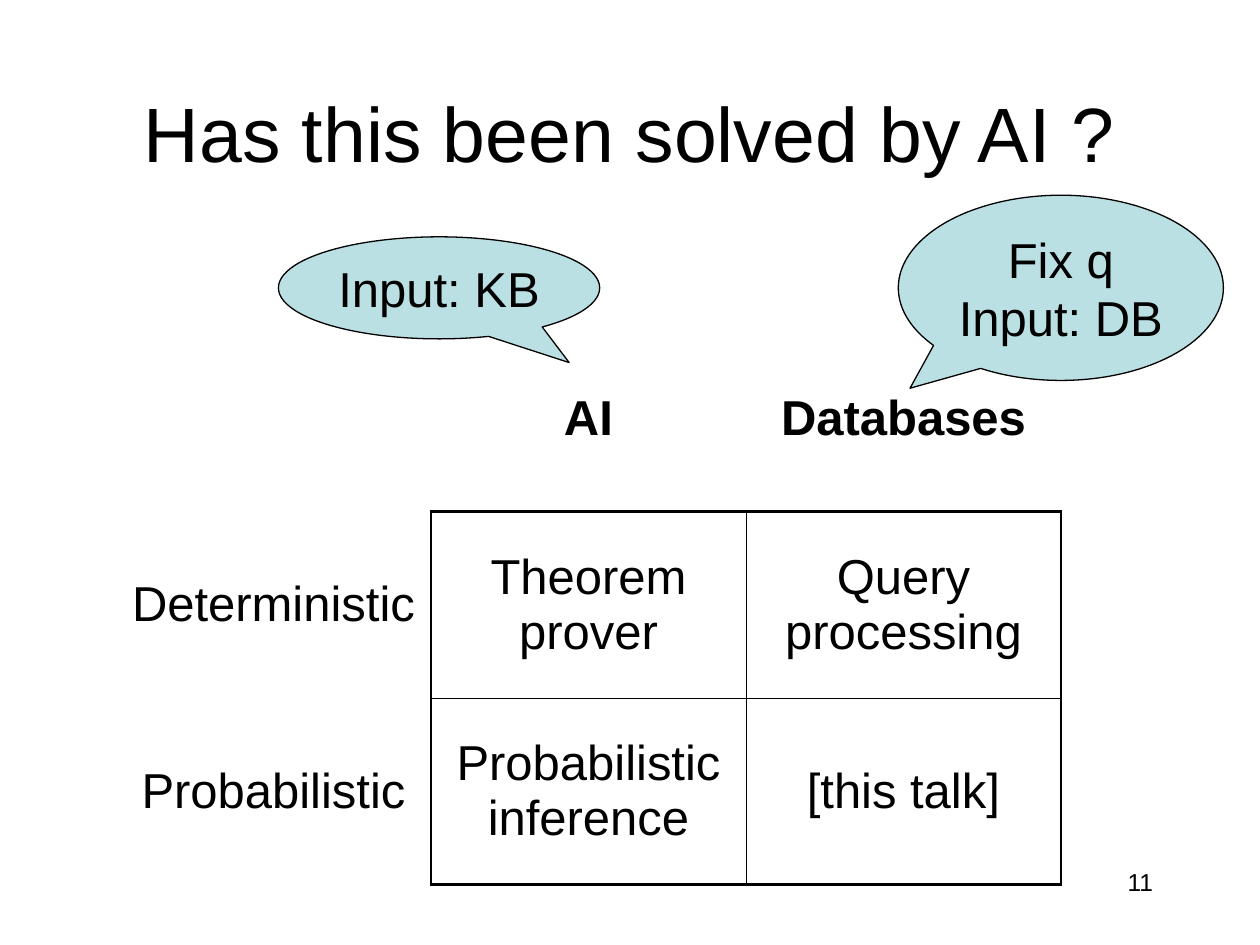
from lxml.etree import SubElement
from pptx import Presentation
from pptx.dml.color import RGBColor
from pptx.enum.shapes import MSO_SHAPE
from pptx.enum.text import MSO_ANCHOR as ANCHOR, PP_ALIGN as ALIGN
from pptx.oxml.ns import qn
from pptx.util import Inches, Pt

# Content
TITLE = "Has this been solved by AI ?"
GRID = [
    ["", "AI", "Databases"],
    ["Deterministic", "Theorem prover", "Query processing"],
    ["Probabilistic", "Probabilistic inference", "[this talk]"],
]
# text, (left, top, width, height), tip of the callout
CALLOUTS = [
    ("Input: KB", (2.21, 1.88, 2.55, 0.81), (0.405, 0.732)),
    ("Fix q\vInput: DB", (7.13, 1.55, 2.58, 1.47), (-0.464, 0.542)),
]
PAGE = "11"

# Look and layout
COLORS = {"ink": "000000", "callout": "BBE0E3"}
BODY = {"name": "Arial", "size": Pt(28), "bold": False}
HEAD = {**BODY, "bold": True}
TITLE_FONT = {**BODY, "size": Pt(44)}
PAGE_FONT = {**BODY, "size": Pt(14)}
LEFT, TOP, COL_W, ROW_H = 0.92, 2.58, 2.5, 1.48
THICK, THIN = Pt(1.47), Pt(0.45)


def color(name):
    return RGBColor.from_string(COLORS[name])


def write(tf, text, font, align=ALIGN.CENTER):
    p = tf.paragraphs[0]
    p.text, p.alignment = text, align
    for r in p.runs:
        for key, value in font.items():
            setattr(r.font, key, value)
        r.font.color.rgb = color("ink")


def add_text(s, text, box, font, align, anchor):
    tf = s.shapes.add_textbox(*map(Inches, box)).text_frame
    tf.word_wrap, tf.vertical_anchor = True, anchor
    write(tf, text, font, align)


def edge_width(before, after):
    """Width of the line between two cells: thick around the body, thin inside."""
    if before and after:
        return THIN
    return THICK if before or after else None


def set_borders(cell, row, col):
    def body(r, c):
        return r in (1, 2) and c in (1, 2)

    here = body(row, col)
    neighbours = {"L": (row, col - 1), "R": (row, col + 1),
                  "T": (row - 1, col), "B": (row + 1, col)}
    tcPr = cell._tc.get_or_add_tcPr()
    for i, (side, place) in enumerate(neighbours.items()):
        width = edge_width(here, body(*place))
        ln = tcPr.makeelement(qn(f"a:ln{side}"), {"w": str(width or 0)})
        tcPr.insert(i, ln)
        if width:
            fill = SubElement(ln, qn("a:solidFill"))
            SubElement(fill, qn("a:srgbClr"), val=COLORS["ink"])
        else:
            SubElement(ln, qn("a:noFill"))


prs = Presentation()
prs.slide_width, prs.slide_height = Inches(10), Inches(7.5)
s = prs.slides.add_slide(prs.slide_layouts[6])

# Comparison table
rows, cols = len(GRID), len(GRID[0])
size = map(Inches, (LEFT, TOP, cols * COL_W, rows * ROW_H))
table = s.shapes.add_table(rows, cols, *size).table
table.first_row = table.horz_banding = False
for i, texts in enumerate(GRID):
    for j, text in enumerate(texts):
        cell = table.cell(i, j)
        cell.fill.background()
        cell.vertical_anchor = ANCHOR.MIDDLE
        write(cell.text_frame, text, BODY if i else HEAD)
        set_borders(cell, i, j)

# Title
add_text(s, TITLE, (0.75, 0.42, 8.5, 1.25), TITLE_FONT, ALIGN.CENTER, ANCHOR.MIDDLE)

# Callouts
for text, box, tip in CALLOUTS:
    sp = s.shapes.add_shape(MSO_SHAPE.OVAL_CALLOUT, *map(Inches, box))
    sp.adjustments[0], sp.adjustments[1] = tip
    sp.shadow.inherit = False
    sp.fill.solid()
    sp.fill.fore_color.rgb = color("callout")
    sp.line.color.rgb = color("ink")
    sp.line.width = Pt(0.75)
    sp.text_frame.word_wrap = False
    sp.text_frame.vertical_anchor = ANCHOR.MIDDLE
    write(sp.text_frame, text, BODY)

# Page number
add_text(s, PAGE, (7.17, 6.83, 2.08, 0.5), PAGE_FONT, ALIGN.RIGHT, ANCHOR.TOP)

prs.save("out.pptx")
